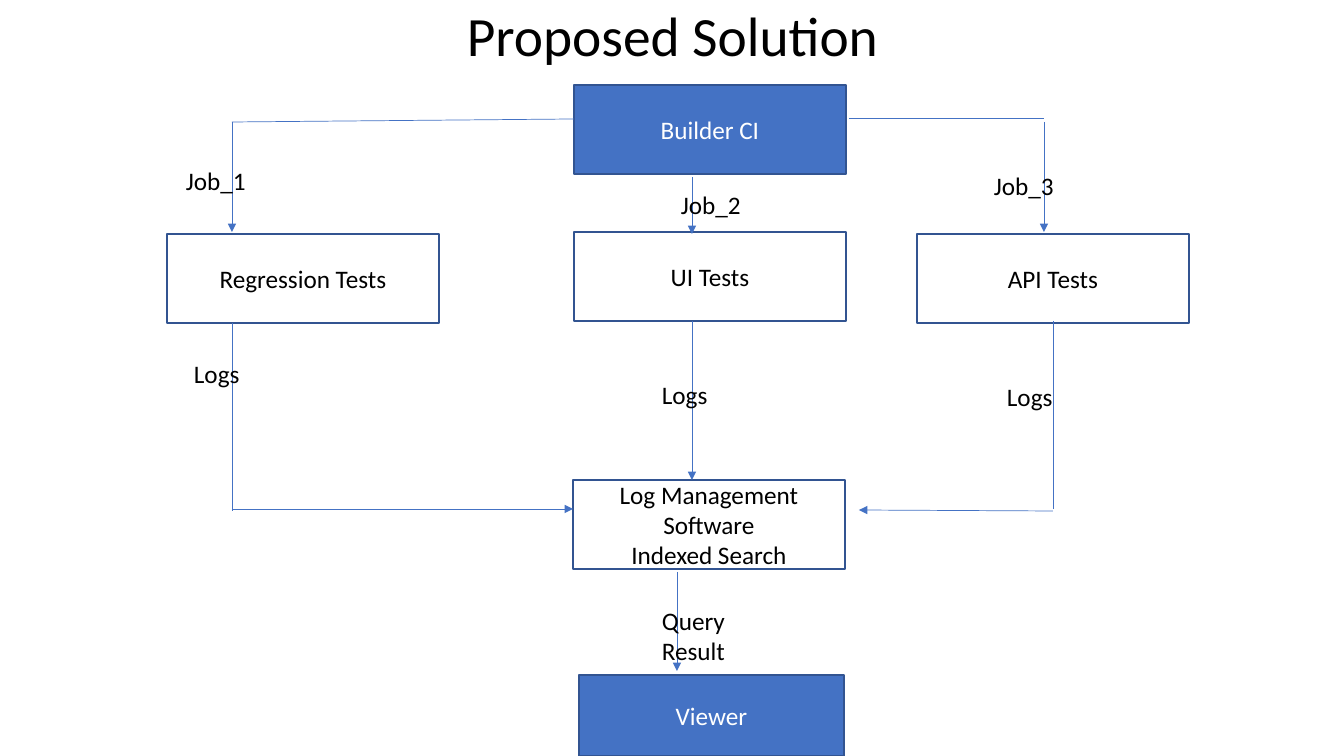
from pptx import Presentation
from pptx.dml.color import RGBColor
from pptx.enum.shapes import MSO_CONNECTOR, MSO_SHAPE
from pptx.enum.text import MSO_ANCHOR, PP_ALIGN
from pptx.oxml.ns import qn
from pptx.util import Pt
from lxml import etree

RECT, STRAIGHT = MSO_SHAPE.RECTANGLE, MSO_CONNECTOR.STRAIGHT
MIDDLE, TOP = MSO_ANCHOR.MIDDLE, MSO_ANCHOR.TOP
CENTER, LEFT = PP_ALIGN.CENTER, PP_ALIGN.LEFT

BLUE = RGBColor(0x44, 0x72, 0xC4)
NAVY = RGBColor(0x32, 0x54, 0x91)
WHITE = RGBColor(0xFF, 0xFF, 0xFF)
BLACK = RGBColor(0, 0, 0)
FONT = "Calibri"
PX = 914400 / 100.8

TITLE = ("Proposed Solution", (93, 2, 1159, 73))

# Lines of text, (left, top, width, height), fill, font colour
BOXES = [
    (["Regression Tests"], (167, 234, 272, 89), WHITE, BLACK),
    (["Builder CI"], (574, 85, 272, 89), BLUE, WHITE),
    (["API Tests"], (917, 234, 272, 89), WHITE, BLACK),
    (["UI Tests"], (574, 232, 272, 89), WHITE, BLACK),
    (["Log Management Software", "Indexed Search"], (573, 480, 272, 89), WHITE, BLACK),
    (["Viewer"], (579, 675, 265, 81), BLUE, WHITE),
]

# Points from start to end, arrowhead at the end
ARROWS = [
    ((232, 122), (232, 232)),
    ((692, 177), (692, 234)),
    ((1044, 122), (1044, 232)),
    ((232, 509), (573, 509)),
    ((692, 321), (692, 480)),
    ((1053, 511), (859, 510)),
    ((677, 572), (677, 671)),
]
PLAIN_LINES = [
    ((574, 119), (232, 122)),
    ((1044, 118), (849, 118)),
    ((232, 323), (232, 511)),
    ((1053, 321), (1053, 509)),
]

# Text, left, top, height
LABELS = [
    ("Job_1", 176, 160, 40),
    ("Job_3", 984, 165, 40),
    ("Job_2", 671, 184, 40),
    ("Logs", 184, 353, 40),
    ("Logs", 652, 374, 40),
    ("Logs", 997, 376, 40),
    ("Query Result", 652, 600, 72),
]
LABEL_WIDTH = 123


def emu(*pixels):
    """Turn pixel lengths into EMU."""
    return [round(n * PX) for n in pixels]


def write(sp, lines, color, size=18, align=CENTER, anchor=MIDDLE):
    """Fill a shape with formatted paragraphs."""
    tf = sp.text_frame
    tf.word_wrap = True
    tf.vertical_anchor = anchor
    for i, line in enumerate(lines):
        p = tf.add_paragraph() if i else tf.paragraphs[0]
        p.alignment = align
        r = p.add_run()
        r.text = line
        r.font.name, r.font.size = FONT, Pt(size)
        r.font.color.rgb = color


def add_box(s, lines, frame, fill, color):
    """Add an outlined box with centred text."""
    sp = s.shapes.add_shape(RECT, *emu(*frame))
    sp.shadow.inherit = False
    sp.fill.solid()
    sp.fill.fore_color.rgb = fill
    sp.line.color.rgb = NAVY
    sp.line.width = Pt(1)
    write(sp, lines, color)


def add_line(s, start, end, arrow):
    """Add a thin connector, with an arrowhead at its end if asked."""
    cx = s.shapes.add_connector(STRAIGHT, *emu(*start, *end))
    cx.line.color.rgb = BLUE
    cx.line.width = Pt(0.5)
    if arrow:
        etree.SubElement(cx.line._get_or_add_ln(), qn("a:tailEnd"), type="triangle")
    etree.SubElement(cx._element.spPr, qn("a:effectLst"))


prs = Presentation()
prs.slide_width, prs.slide_height = emu(1344, 756)
s = prs.slides.add_slide(prs.slide_layouts[5])

text, frame = TITLE
title = s.shapes.title
title.left, title.top, title.width, title.height = emu(*frame)
write(title, [text], BLACK, size=39.6)
title.text_frame.paragraphs[0].line_spacing = 0.9

for box in BOXES:
    add_box(s, *box)
for start, end in ARROWS:
    add_line(s, start, end, True)
for start, end in PLAIN_LINES:
    add_line(s, start, end, False)
for text, left, top, height in LABELS:
    label = s.shapes.add_textbox(*emu(left, top, LABEL_WIDTH, height))
    write(label, [text], BLACK, align=LEFT, anchor=TOP)

prs.save("out.pptx")
